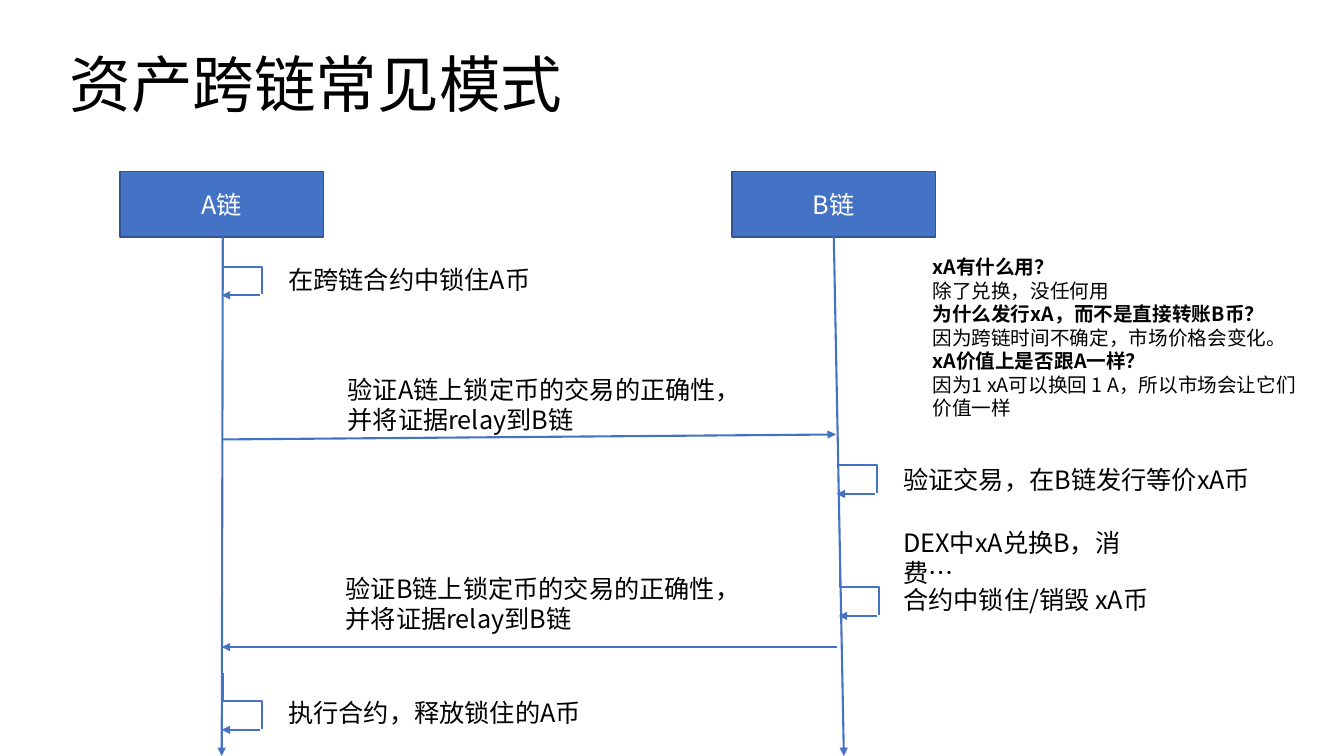
import pptx
import pptx.util
import pptx.dml.color
import pptx.enum.shapes
import pptx.enum.text
import pptx.oxml
import pptx.oxml.ns

hues = {"blue": "4472C4", "edge": "325491", "ink": "000000", "pale": "FFFFFF"}
hues = {name: pptx.dml.color.RGBColor.from_string(code) for name, code in hues.items()}
face = "Noto Sans CJK SC"
kind = pptx.enum.shapes.MSO_CONNECTOR
anchor = pptx.enum.text.MSO_ANCHOR
align = pptx.enum.text.PP_ALIGN

deck = pptx.Presentation()
deck.slide_width = pptx.util.Inches(13.33)
deck.slide_height = pptx.util.Inches(7.5)
slide = deck.slides.add_slide(deck.slide_layouts[6])
col = deck.slide_width / 100
row = deck.slide_height / 100


def write(shape, lines, size, hue="ink", bold=(), **looks):
    frame = shape.text_frame
    frame.word_wrap = True
    frame.vertical_anchor = looks.pop("anchor", anchor.TOP)
    for i, line in enumerate(lines):
        para = frame.paragraphs[0] if i == 0 else frame.add_paragraph()
        for key, value in looks.items():
            setattr(para, key, value)
        run = para.add_run()
        run.text = line
        style = {"size": pptx.util.Pt(size), "name": face, "bold": i in bold}
        for key, value in style.items():
            setattr(run.font, key, value)
        run.font.color.rgb = hues[hue]
        east = pptx.oxml.parse_xml(
            f'<a:ea {pptx.oxml.ns.nsdecls("a")} typeface="{face}"/>')
        run.font._element.find(pptx.oxml.ns.qn("a:latin")).addnext(east)


def link(x1, y1, x2, y2, form=kind.STRAIGHT, head=True):
    wire = slide.shapes.add_connector(
        form, int(x1 * col), int(y1 * row), int(x2 * col), int(y2 * row))
    wire.line.color.rgb = hues["blue"]
    wire.line.width = pptx.util.Pt(1.5)
    if head:
        wire.line._get_or_add_ln().append(pptx.oxml.parse_xml(
            f'<a:tailEnd {pptx.oxml.ns.nsdecls("a")} type="triangle"/>'))
    wire._element.spPr.append(pptx.oxml.parse_xml(
        f'<a:effectLst {pptx.oxml.ns.nsdecls("a")}/>'))
    return wire


title = slide.shapes.add_textbox(
    int(4.43 * col), int(1.87 * row), int(86.27 * col), int(19.33 * row))
write(title, ["资产跨链常见模式"], 44, anchor=anchor.MIDDLE, line_spacing=0.9)

for name, x in [("A链", 8.93), ("B链", 54.46)]:
    box = slide.shapes.add_shape(
        pptx.enum.shapes.MSO_SHAPE.RECTANGLE,
        int(x * col), int(22.67 * row), int(15.15 * col), int(8.67 * row))
    box.shadow.inherit = False
    box.fill.solid()
    box.fill.fore_color.rgb = hues["blue"]
    box.line.color.rgb = hues["edge"]
    box.line.width = pptx.util.Pt(1)
    write(box, [name], 18, "pale", anchor=anchor.MIDDLE, alignment=align.CENTER)

for ends in [
    (16.58, 31.33, 16.5, 100),
    (62.04, 31.33, 62.79, 100),
    (16.58, 58.13, 62.19, 57.47),
    (62.27, 85.6, 16.5, 85.6),
]:
    link(*ends)

for x, y in [(16.58, 31.6), (62.34, 57.87), (62.49, 74), (16.58, 89.07)]:
    bend = link(x + 3.53, y + 1.07, x - 0.6, y + 6.27, kind.ELBOW, False)
    bend._element.spPr.xfrm.set("rot", str(270 * 60000))
    link(x + 2.78, y + 7.47, x - 0.08, y + 7.47)

relay = "并将证据relay到B链"
notes = [
    (20.71, 34.27, 19.8, ["在跨链合约中锁住A币"]),
    (25.13, 48.8, 31.13, ["验证A链上锁定币的交易的正确性，", relay]),
    (66.47, 60.8, 27.31, ["验证交易，在B链发行等价xA币"]),
    (66.47, 69.07, 20.63, ["DEX中xA兑换B，消费…"]),
    (66.47, 76.67, 19.95, ["合约中锁住/销毁 xA币"]),
    (24.98, 75.2, 30.98, ["验证B链上锁定币的交易的正确性，", relay]),
    (20.71, 91.6, 23.56, ["执行合约，释放锁住的A币"]),
]
for x, y, wide, lines in notes:
    note = slide.shapes.add_textbox(
        int(x * col), int(y * row), int(wide * col), int((1.2 + 4.13 * len(lines)) * row))
    write(note, lines, 18)

asks = slide.shapes.add_textbox(
    int(68.64 * col), int(33.07 * row), int(29.78 * col), int(23.33 * row))
write(asks, [
    "xA有什么用？",
    "除了兑换，没任何用",
    "为什么发行xA，而不是直接转账B币？",
    "因为跨链时间不确定，市场价格会变化。",
    "xA价值上是否跟A一样？",
    "因为1 xA可以换回 1 A，所以市场会让它们价值一样",
], 14, bold=(0, 2, 4))

deck.save("out.pptx")
